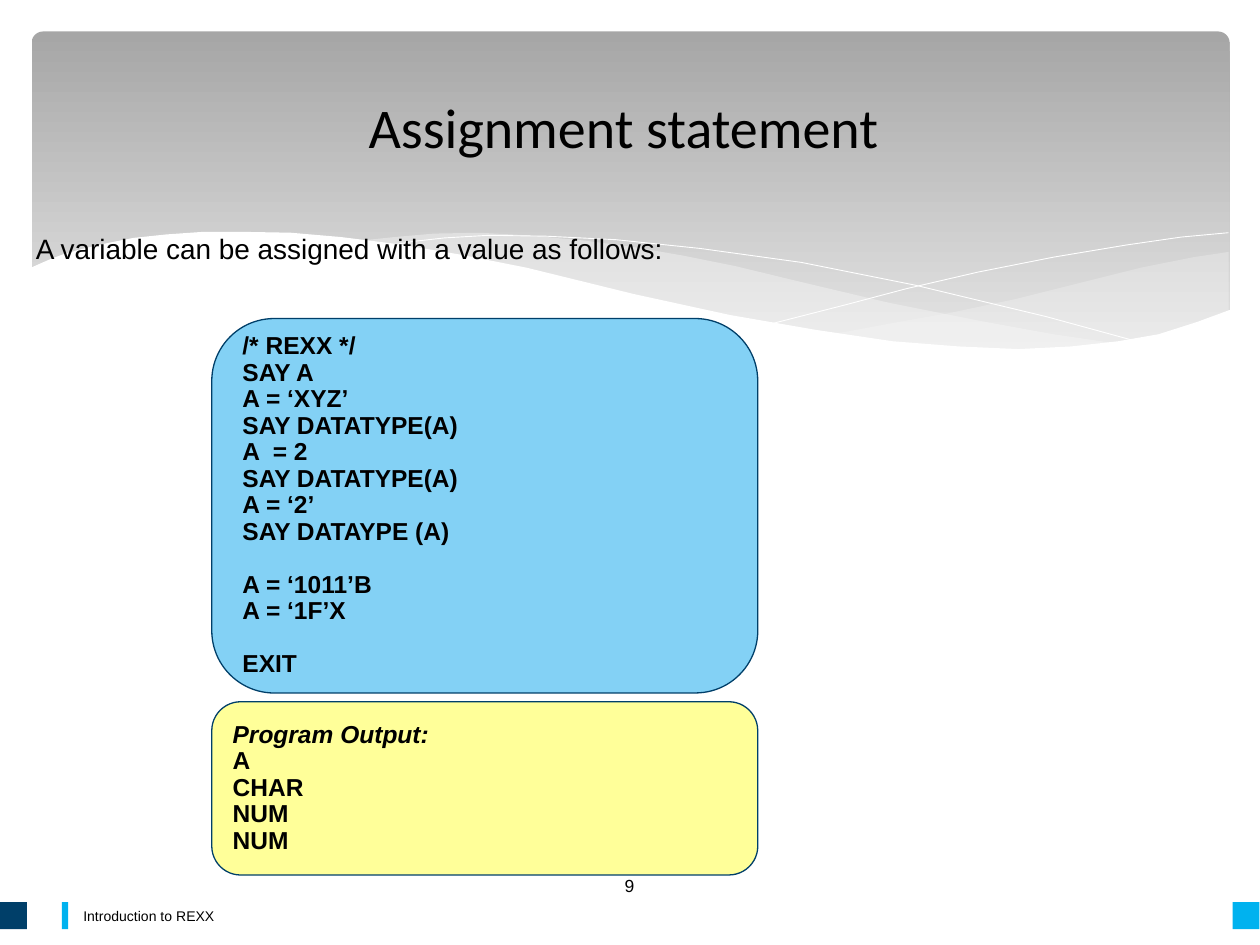
from lxml.etree import SubElement
from pptx import Presentation
from pptx.dml.color import RGBColor
from pptx.enum.shapes import MSO_SHAPE
from pptx.enum.text import MSO_ANCHOR, PP_ALIGN
from pptx.oxml.ns import qn
from pptx.util import Pt

COLORS = {
    "black": "000000", "white": "FFFFFF", "mist": "F8F8F8",
    "band_top": "A6A6A6", "band_bottom": "EBEBEB",
    "navy": "003F69", "cyan": "00B2EF", "code": "83D1F5", "output": "FFFF99",
}

RIGHT_WAVE = [
    (702, 144), (682, 147), (652, 153), (620, 161), (580, 171), (542, 179),
    (508, 185), (476, 191), (498, 194), (517, 197), (536, 198), (562, 199.5),
    (586, 200), (615, 198.7), (640, 196.5), (663, 191), (683, 185), (702, 178),
]
LONG_WAVE = [
    (643, 197), (602, 191), (558, 183), (508, 173), (453, 160), (420, 152),
    (390, 146), (361, 141), (334, 137.5), (302, 134.5), (274, 133),
    (248, 133.5), (225, 135.5), (206, 137.5), (233, 141), (261, 146),
    (291, 152), (323, 160), (382, 173), (433, 184), (468, 190), (500, 195),
    (530, 198), (557, 200), (581, 201), (603, 200), (624, 199),
]
FALLING_LINE = [
    (222, 140.5), (236, 138), (254, 136), (279, 134.5), (312, 135),
    (352, 137), (400, 142), (458, 150), (523, 163), (598, 181), (653, 196),
]
RISING_LINE = [
    (441, 185), (484, 174), (518, 165), (559, 155.5), (602, 147),
    (644, 140), (675, 135.5), (702, 133),
]
WHITE_WAVE = [
    (703, 177), (684, 184), (662, 191), (639, 195), (612, 198), (582, 199.5),
    (548, 198), (510, 195), (466, 188.5), (417, 180), (362, 168), (301, 153),
    (263, 145.5), (227, 139.5), (195, 135.5), (166, 133), (139, 132.5),
    (116, 132.5), (95, 134), (76, 136), (61, 139), (48, 142), (37, 145),
    (29, 148), (21, 151.5), (16.6, 153.5), (16.6, 237), (703, 237),
]

CODE = [
    "/* REXX */", "SAY A", "A = ‘XYZ’", "SAY DATATYPE(A)", "A  = 2",
    "SAY DATATYPE(A)", "A = ‘2’", "SAY DATAYPE (A)",
    "A = ‘1011’B", "A = ‘1F’X", "EXIT",
]
OUTPUT = ["Program Output:", "A", "CHAR", "NUM", "NUM"]


class Deck:
    """Holds the text style and the slide being drawn; lengths are in points."""

    def __init__(self, slide, font="Arial"):
        self.shapes = slide.shapes
        self.font = font

    def color(self, name):
        return RGBColor.from_string(COLORS[name])

    def paint(self, sp, fill=None, line=None, width=0.75):
        sp.shadow.inherit = False
        if fill:
            sp.fill.solid()
            sp.fill.fore_color.rgb = self.color(fill)
        else:
            sp.fill.background()
        if line:
            sp.line.color.rgb = self.color(line)
            sp.line.width = Pt(width)
        else:
            sp.line.fill.background()

    def shape(self, kind, box, fill, line=None):
        sp = self.shapes.add_shape(kind, *map(Pt, box))
        self.paint(sp, fill, line)
        return sp

    def band(self, box, top, bottom):
        """Rounded backdrop that fades from top to bottom."""
        sp = self.shape(MSO_SHAPE.ROUNDED_RECTANGLE, box, top)
        sp.adjustments[0] = 0.034
        sp.fill.gradient()
        sp.fill.gradient_angle = 270
        for stop, position, name in zip(sp.fill.gradient_stops, (0, 1), (top, bottom)):
            stop.position = position
            stop.color.rgb = self.color(name)

    def outline(self, points, fill=None, line=None, alpha=100):
        """Filled outlines are closed, stroked ones stay open; alpha is percent."""
        start, *rest = [(Pt(x), Pt(y)) for x, y in points]
        builder = self.shapes.build_freeform(*start, scale=1.0)
        builder.add_line_segments(rest, close=bool(fill))
        sp = builder.convert_to_shape()
        self.paint(sp, fill, line, 0.5)
        if alpha < 100:
            clr = sp.element.spPr.find(qn("a:solidFill"))[0]
            SubElement(clr, qn("a:alpha"), val=str(alpha * 1000))

    def set_text(self, sp, lines, size, font=None, align=PP_ALIGN.LEFT,
                 anchor=MSO_ANCHOR.MIDDLE, spacing=None, bold=False, wrap=True):
        tf = sp.text_frame
        tf.word_wrap = wrap
        tf.vertical_anchor = anchor
        for i, line in enumerate(lines):
            p = tf.add_paragraph() if i else tf.paragraphs[0]
            p.text = line
            p.alignment = align
            p.line_spacing = spacing
            p.font.name = font or self.font
            p.font.size = Pt(size)
            p.font.bold = bold
            p.font.color.rgb = self.color("black")
        return tf.paragraphs

    def label(self, box, text, size, **style):
        sp = self.shapes.add_textbox(*map(Pt, box))
        return self.set_text(sp, [text], size, **style)

    def listing(self, top, height, lines, fill):
        sp = self.shape(MSO_SHAPE.FLOWCHART_ALTERNATE_PROCESS,
                        (121, top, 312, height), fill, "navy")
        return self.set_text(sp, lines, 14, spacing=0.9, bold=True, wrap=False)


def main():
    prs = Presentation()
    prs.slide_width, prs.slide_height = Pt(720), Pt(540)
    deck = Deck(prs.slides.add_slide(prs.slide_layouts[6]))

    deck.band((18, 18, 684.7, 194.4), "band_top", "band_bottom")
    deck.outline(RIGHT_WAVE, fill="mist", alpha=29)
    deck.outline(LONG_WAVE, fill="mist", alpha=40)
    deck.outline(FALLING_LINE, line="white")
    deck.outline(RISING_LINE, line="white")
    deck.outline(WHITE_WAVE, fill="white")

    deck.label((40.5, 514, 561, 18.7), "Introduction to REXX", 8)
    for left, width, fill in ((0, 15.4, "navy"), (704.3, 15.4, "cyan"), (35.4, 3.6, "cyan")):
        deck.shape(MSO_SHAPE.RECTANGLE, (left, 515.5, width, 15.4), fill)

    deck.label((14.4, 46.8, 684, 50.4), "Assignment statement", 32,
               font="Calibri", align=PP_ALIGN.CENTER)
    deck.label((314, 492.5, 91.4, 28.8), "9", 10, align=PP_ALIGN.CENTER, spacing=0.9)
    intro = deck.label((13.4, 128.9, 692, 38.9),
                       "A variable can be assigned with a value as follows:", 16,
                       anchor=MSO_ANCHOR.TOP)
    intro[0].space_before = Pt(10)

    code = deck.listing(182, 214, CODE, "code")
    for p in code:
        if p.text in ("A = ‘1011’B", "EXIT"):
            p.space_before = Pt(15)
    output = deck.listing(401, 99, OUTPUT, "output")
    output[0].font.italic = True

    prs.save("out.pptx")


if __name__ == "__main__":
    main()
